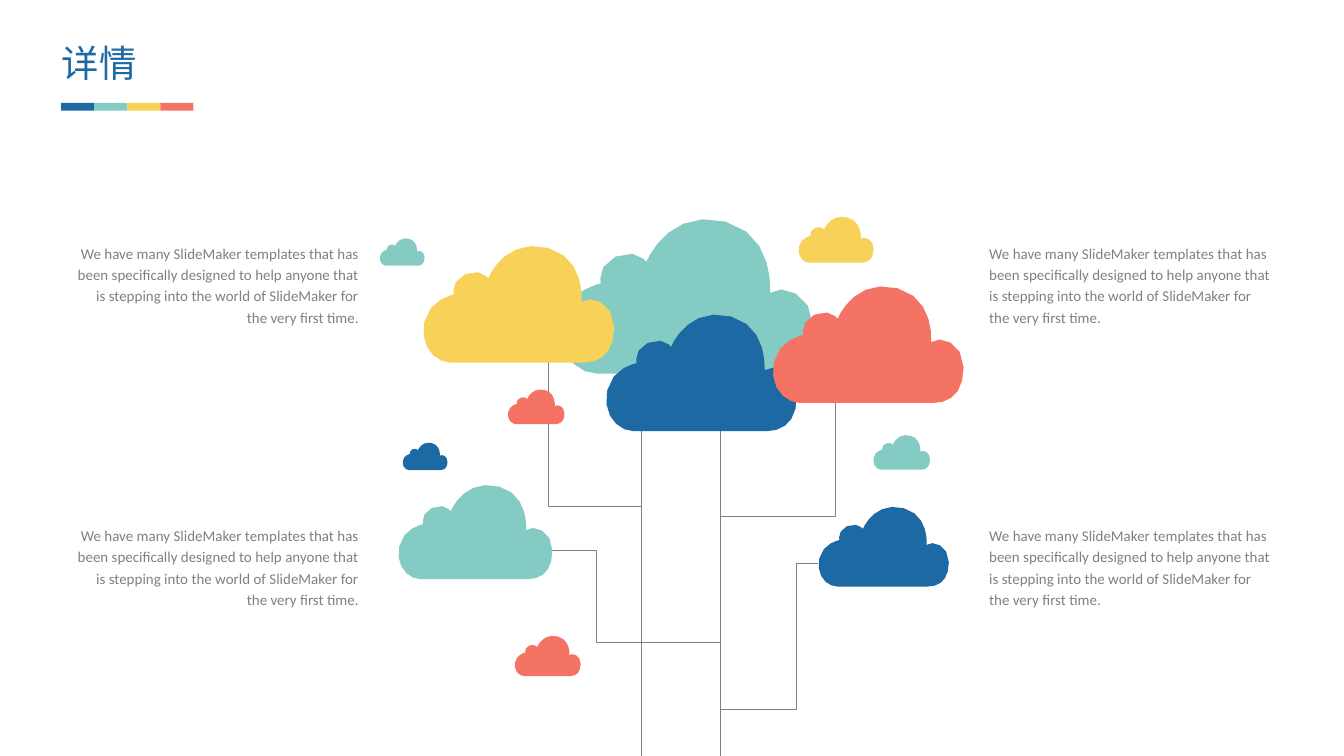
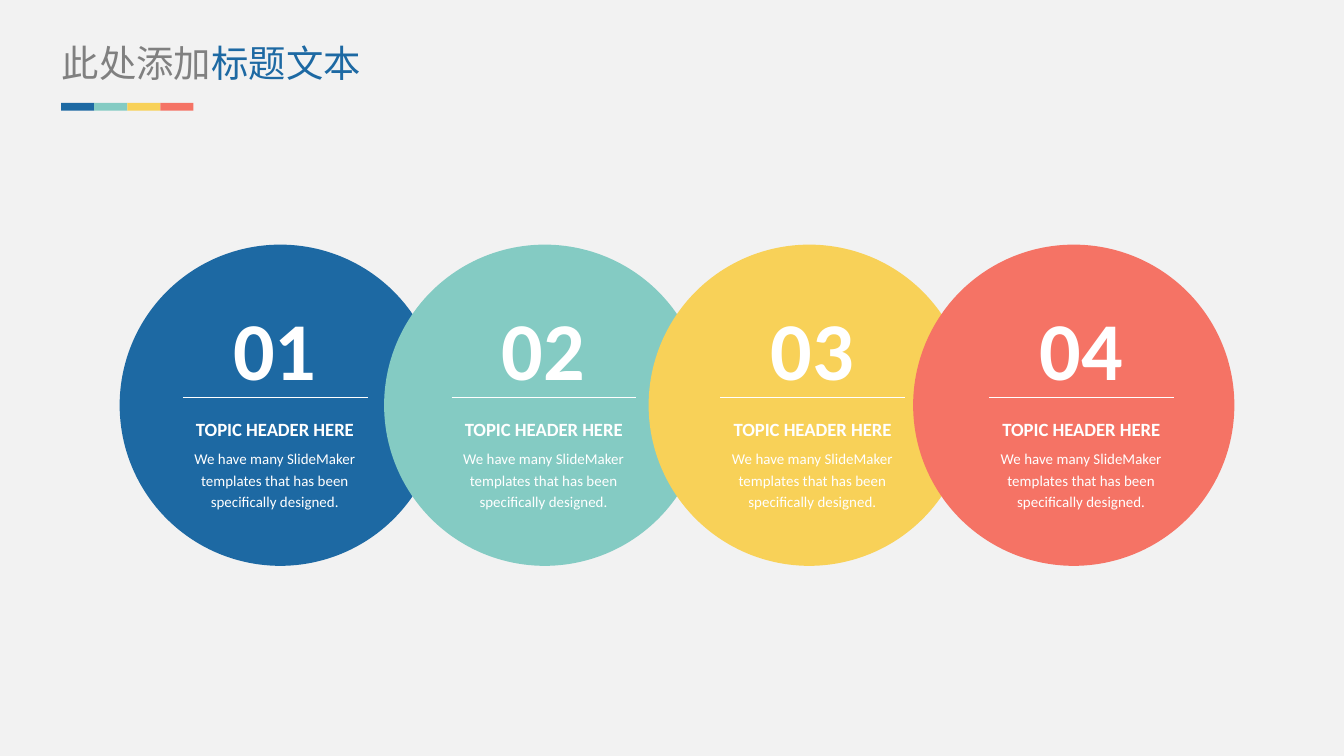
from lxml import etree
from pptx import Presentation
from pptx.dml.color import RGBColor
from pptx.enum.shapes import MSO_CONNECTOR, MSO_SHAPE
from pptx.enum.text import MSO_ANCHOR, MSO_AUTO_SIZE, PP_ALIGN
from pptx.oxml.ns import qn
from pptx.util import Inches, Pt

STRAIGHT = MSO_CONNECTOR.STRAIGHT
RECTANGLE, OVAL = MSO_SHAPE.RECTANGLE, MSO_SHAPE.OVAL
LEFT, CENTER, RIGHT = PP_ALIGN.LEFT, PP_ALIGN.CENTER, PP_ALIGN.RIGHT

COLOURS = {
    "blue": "1D69A3",
    "teal": "84CBC3",
    "yellow": "F8D158",
    "coral": "F57365",
    "grey": "808080",
    "white": "FFFFFF",
    "pale": "F2F2F2",
}
RGB = {key: RGBColor.from_string(value) for key, value in COLOURS.items()}
ACCENTS = ["blue", "teal", "yellow", "coral"]
BODY_FONT = "Calibri"
TITLE_FONT = "Noto Sans CJK SC"

prs = Presentation()
prs.slide_width = Inches(10)
prs.slide_height = prs.slide_width * 9 // 16
TITLE_ONLY = prs.slide_layouts[5]

# Square grid: 100 columns across the slide; all lengths below are in cells.
CELL = prs.slide_width // 100
ROWS = prs.slide_height / CELL


def add_text(slide, box, lines, colour, align, space_before=0):
    """Add a text box; each line is (text, size, bold)."""
    text_box = slide.shapes.add_textbox(*[round(v * CELL) for v in box])
    frame = text_box.text_frame
    frame.margin_left = frame.margin_right = 0
    frame.margin_top = frame.margin_bottom = 0
    frame.word_wrap = True
    frame.auto_size = MSO_AUTO_SIZE.SHAPE_TO_FIT_TEXT
    for index, (text, size, bold) in enumerate(lines):
        paragraph = frame.add_paragraph() if index else frame.paragraphs[0]
        paragraph.text = text
        paragraph.alignment = align
        paragraph.line_spacing = 1.2
        paragraph.space_before = Pt(space_before)
        font = paragraph.runs[0].font
        font.name, font.size, font.bold = BODY_FONT, Pt(size), bold
        font.color.rgb = RGB[colour]


def add_line(slide, ends, colour):
    line = slide.shapes.add_connector(STRAIGHT, *[round(v * CELL) for v in ends])
    line.line.color.rgb = RGB[colour]
    line.line.width = Pt(0.5)
    etree.SubElement(line._element.spPr, qn("a:effectLst"))


# Shared frame: background, title and four-colour band
slides = []
for background, title_parts in [
    ("white", [("详情", "blue")]),
    ("pale", [("此处添加", "grey"), ("标题文本", "blue")]),
]:
    slide = prs.slides.add_slide(TITLE_ONLY)
    slides.append(slide)
    slide.background.fill.solid()
    slide.background.fill.fore_color.rgb = RGB[background]

    title = slide.shapes.title
    title.left, title.top, title.width, title.height = [
        round(v * CELL) for v in (4.6, 3, 30.4, 3.4)]
    frame = title.text_frame
    frame.margin_left = frame.margin_right = 0
    frame.margin_top = frame.margin_bottom = 0
    frame.vertical_anchor = MSO_ANCHOR.TOP
    frame.auto_size = MSO_AUTO_SIZE.NONE
    frame.word_wrap = True
    frame.paragraphs[0].alignment = LEFT
    for text, colour in title_parts:
        run = frame.paragraphs[0].add_run()
        run.text = text
        run.font.size = Pt(20)
        run.font.color.rgb = RGB[colour]
        run.font.name = TITLE_FONT
        east_asian = etree.SubElement(run.font._element, qn("a:ea"))
        east_asian.set("typeface", TITLE_FONT)

    band = slide.shapes.add_group_shape()
    for index, colour in enumerate(ACCENTS):
        stripe = band.shapes.add_shape(
            RECTANGLE, *[round(v * CELL) for v in (4.55 + 2.46 * index, 7.65, 2.46, 0.6)])
        stripe.shadow.inherit = False
        stripe.fill.solid()
        stripe.fill.fore_color.rgb = RGB[colour]
        stripe.line.fill.background()

tree_slide, topics_slide = slides

# Slide 1: cloud tree
TRUNK_LEFT, TRUNK_RIGHT = 47.7, 53.6
for x in (TRUNK_LEFT, TRUNK_RIGHT):
    add_line(tree_slide, (x, 31.6, x, ROWS), "grey")

branches = [
    [(40.8, 25.8), (40.8, 37.7), (TRUNK_LEFT, 37.7)],
    [(TRUNK_RIGHT, 38.4), (62.2, 38.4), (62.2, 30)],
    [(60.9, 41.9), (59.3, 41.9), (59.3, 52.8), (TRUNK_RIGHT, 52.8)],
    [(TRUNK_RIGHT, 47.8), (44.4, 47.8), (44.4, 40.95), (41.1, 40.95)],
]
for corners in branches:
    points = [(x * CELL, y * CELL) for x, y in corners]
    builder = tree_slide.shapes.build_freeform(*points[0])
    builder.add_line_segments(points[1:], close=False)
    branch = builder.convert_to_shape()
    branch.shadow.inherit = False
    branch.fill.background()
    branch.line.color.rgb = RGB["grey"]
    branch.line.width = Pt(0.5)

description = ("We have many SlideMaker templates that has been specifically designed "
               "to help anyone that is stepping into the world of SlideMaker for "
               "the very first time.")
for left, align in [(73.6, LEFT), (5.5, RIGHT)]:
    for top in (17.9, 38.9):
        add_text(tree_slide, (left, top, 21.2, 6.5),
                 [(description, 8, False)], "grey", align)

# Cloud outline in a 192-unit width: steps, two controls and an end per curve
CLOUD_WIDTH = 192
CLOUD_START = (31, 123)
CLOUD_CURVES = [
    (1, (51, 123), (145, 123), (162, 123)),
    (5, (179, 123), (192, 113), (192, 88)),
    (4, (192, 63), (168, 56), (160, 63)),
    (6, (160, 63), (164, 20), (127, 10)),
    (6, (89, 0), (71, 32), (68, 40)),
    (3, (68, 40), (60, 29), (45, 36)),
    (3, (31, 42), (34, 56), (34, 56)),
    (4, (34, 56), (10, 60), (5, 83)),
    (5, (0, 107), (16, 123), (31, 123)),
]
outline = [CLOUD_START]
for steps, control_1, control_2, end in CLOUD_CURVES:
    start = outline[-1]
    for step in range(1, steps + 1):
        t = step / steps
        outline.append(tuple(
            (1 - t) ** 3 * a + 3 * (1 - t) ** 2 * t * b + 3 * (1 - t) * t ** 2 * c + t ** 3 * d
            for a, b, c, d in zip(start, control_1, control_2, end)))
outline.pop()  # closing the shape returns to the start

clouds = [  # left, top, width, colour
    (41.3, 15.5, 19.2, "teal"),
    (31.2, 17.7, 14.5, "yellow"),
    (59.3, 15.9, 5.7, "yellow"),
    (28.2, 17.6, 3.4, "teal"),
    (29.9, 32.8, 3.4, "blue"),
    (64.9, 32.2, 4.3, "teal"),
    (29.4, 35.6, 11.7, "teal"),
    (60.7, 37.3, 9.9, "blue"),
    (38.2, 47.1, 5, "coral"),
    (37.7, 28.8, 4.3, "coral"),
    (44.8, 22.8, 14.5, "blue"),
    (57.2, 20.7, 14.5, "coral"),
]
for left, top, width, colour in clouds:
    scale = width / CLOUD_WIDTH
    points = [((left + x * scale) * CELL, (top + y * scale) * CELL) for x, y in outline]
    builder = tree_slide.shapes.build_freeform(*points[0])
    builder.add_line_segments(points[1:], close=True)
    cloud = builder.convert_to_shape()
    cloud.shadow.inherit = False
    cloud.fill.solid()
    cloud.fill.fore_color.rgb = RGB[colour]
    cloud.line.fill.background()

# Slide 2: four overlapping topic circles
for index, colour in enumerate(ACCENTS):
    circle = topics_slide.shapes.add_shape(
        OVAL, *[round(v * CELL) for v in (8.9 + 19.68 * index, 18.2, 23.9, 23.9)])
    circle.shadow.inherit = False
    circle.fill.solid()
    circle.fill.fore_color.rgb = RGB[colour]
    circle.line.fill.background()

topic_lines = [
    ("TOPIC HEADER HERE", 10, True),
    ("We have many SlideMaker templates that has been specifically designed.", 8, False),
]
for index in range(len(ACCENTS)):
    left = 13 + 20 * index
    add_text(topics_slide, (left, 30.8, 14.9, 7.3), topic_lines, "white", CENTER, 3)
    add_text(topics_slide, (left + 2.35, 20.7, 10.2, 8.9),
             [(f"{index + 1:02}", 44, True)], "white", CENTER, 3)
    add_line(topics_slide, (left + 0.6, 29.6, left + 14.35, 29.6), "white")

prs.save("out.pptx")
